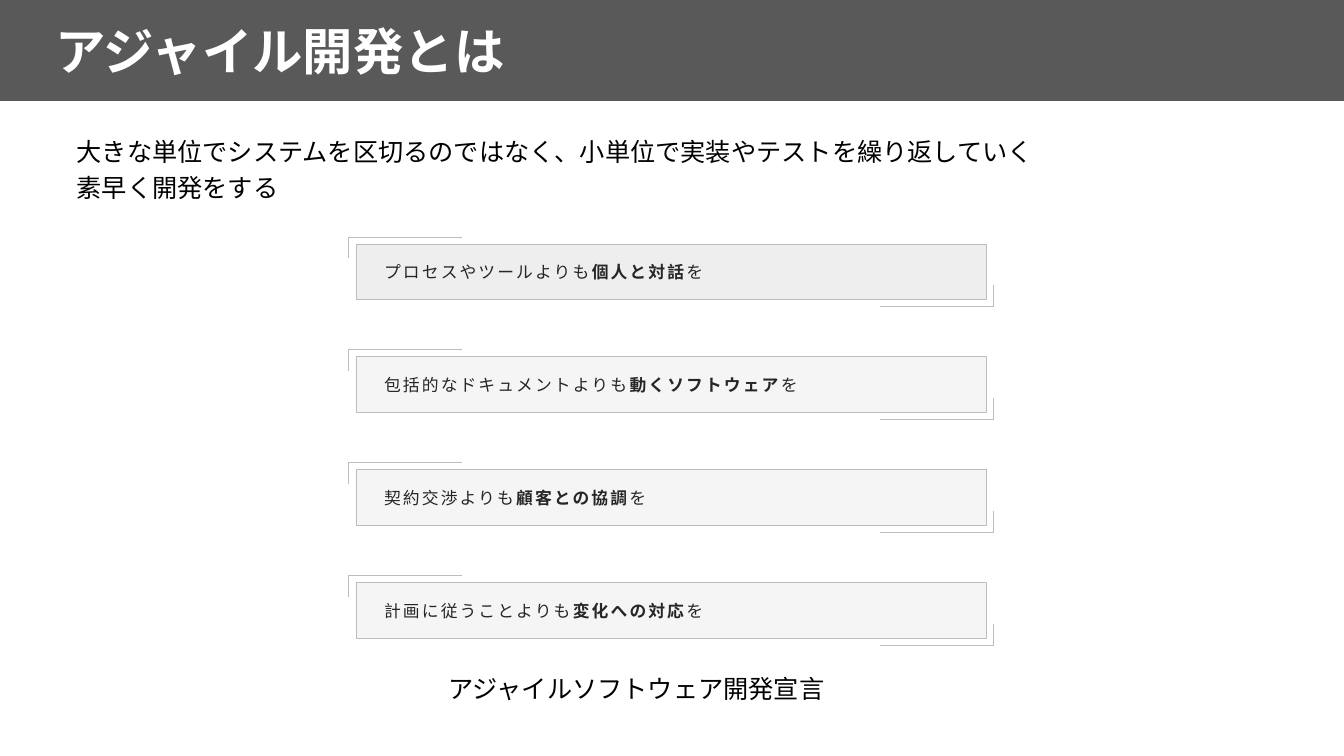
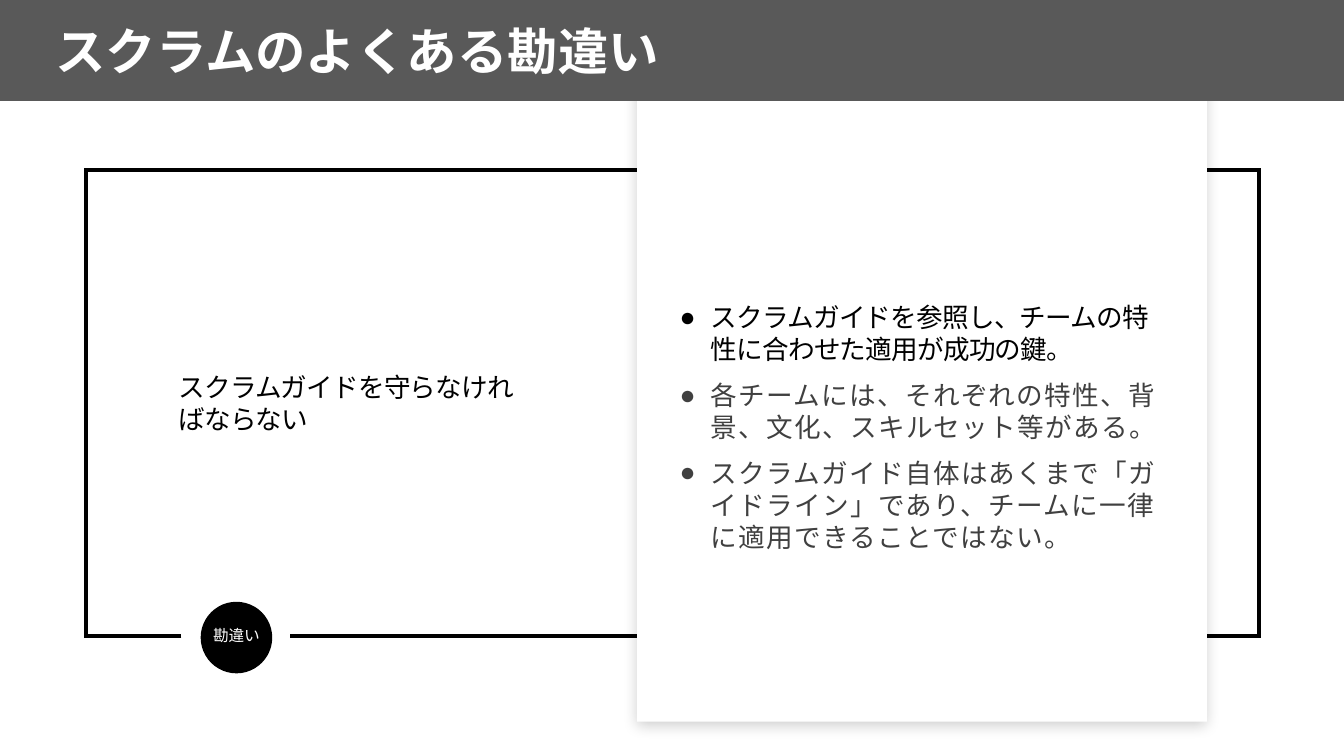
from lxml import etree
from pptx import Presentation
from pptx.dml.color import RGBColor
from pptx.enum.shapes import MSO_SHAPE
from pptx.enum.text import MSO_ANCHOR, MSO_AUTO_SIZE, PP_ALIGN
from pptx.oxml.ns import qn
from pptx.util import Pt

RECTANGLE, OVAL = MSO_SHAPE.RECTANGLE, MSO_SHAPE.OVAL
TOP, MIDDLE = MSO_ANCHOR.TOP, MSO_ANCHOR.MIDDLE
LEFT, CENTER = PP_ALIGN.LEFT, PP_ALIGN.CENTER
NO_FIT = MSO_AUTO_SIZE.NONE

PX = 9144  # 100 px to the inch
WIDTH, HEIGHT, BAND_HEIGHT = 1333, 750, 100
LATIN, CJK = "Arial", "Noto Sans CJK SC"

BLACK = RGBColor(0x00, 0x00, 0x00)
WHITE = RGBColor(0xFF, 0xFF, 0xFF)
BAND = RGBColor(0x59, 0x59, 0x59)
CARD = RGBColor(0xDE, 0xDE, 0xDE)
EDGE = RGBColor(0xBD, 0xBD, 0xBD)
CARD_TEXT = RGBColor(0x26, 0x26, 0x26)
GREY_TEXT = RGBColor(0x40, 0x40, 0x40)

# Content
AGILE_TITLE = "アジャイル開発とは"
AGILE_LEAD = [
    "大きな単位でシステムを区切るのではなく、小単位で実装やテストを繰り返していく",
    "素早く開発をする",
]
VALUES = [  # plain start, bold stress, fill opacity in percent
    ("プロセスやツールよりも", "個人と対話", 51),
    ("包括的なドキュメントよりも", "動くソフトウェア", 30),
    ("契約交渉よりも", "顧客との協調", 30),
    ("計画に従うことよりも", "変化への対応", 30),
]
VALUE_END = "を"
AGILE_CAPTION = "アジャイルソフトウェア開発宣言"

SCRUM_TITLE = "スクラムのよくある勘違い"
MYTH_LABEL = "勘違い"
MYTH = "スクラムガイドを守らなければならない"
FACT_LEAD = "スクラムガイドを参照し、チームの特性に合わせた適用が成功の鍵。"
FACTS = [
    "各チームには、それぞれの特性、背景、文化、スキルセット等がある。",
    "スクラムガイド自体はあくまで「ガイドライン」であり、チームに一律に適用できることではない。",
]


def write(box, paragraphs, size=18, color=BLACK, font=LATIN, bold=False, spacing=0,
          align=LEFT, anchor=TOP, insets=(10, 5, 10, 5), before=0, first_before=0,
          bullet=None, indent=0):
    """Fill a shape with paragraphs; each is a list of (text, format overrides)."""
    frame = box.text_frame
    frame.word_wrap, frame.auto_size, frame.vertical_anchor = True, NO_FIT, anchor
    (frame.margin_left, frame.margin_top,
     frame.margin_right, frame.margin_bottom) = [inset * PX for inset in insets]
    for index, spans in enumerate(paragraphs):
        para = frame.add_paragraph() if index else frame.paragraphs[0]
        para.alignment, para.line_spacing = align, 1.0
        para.space_before = Pt(before if index else first_before)
        settings = para._p.get_or_add_pPr()
        settings.set("marL", str(indent * PX))
        settings.set("indent", str(-indent * PX))
        if bullet:
            etree.SubElement(settings, qn("a:buChar")).set("char", bullet)
        else:
            etree.SubElement(settings, qn("a:buNone"))
        for text, changes in spans:
            look = {"color": color, "font": font, "bold": bold, "spacing": spacing, **changes}
            span = para.add_run()
            span.text = text
            span.font.size, span.font.bold = Pt(size), look["bold"]
            span.font.color.rgb, span.font.name = look["color"], look["font"]
            details = span._r.get_or_add_rPr()
            details.set("spc", str(round(look["spacing"] * 100)))
            etree.SubElement(details, qn("a:ea")).set("typeface", CJK)


def place(shape, left, top, width, height):
    shape.left, shape.top = left * PX, top * PX
    shape.width, shape.height = width * PX, height * PX
    return shape


def add_text(page, area, text, **look):
    box = page.shapes.add_textbox(*[length * PX for length in area])
    write(box, [[(text, {})]], **look)


def add_block(page, kind, area, fill, opacity=100, edge=None):
    block = page.shapes.add_shape(kind, *[length * PX for length in area])
    block.shadow.inherit = False
    block.fill.solid()
    block.fill.fore_color.rgb = fill
    if opacity < 100:
        tint = block._element.spPr.find(".//" + qn("a:srgbClr"))
        etree.SubElement(tint, qn("a:alpha")).set("val", str(opacity * 1000))
    if edge is None:
        block.line.fill.background()
    else:
        block.line.color.rgb, block.line.width = edge, Pt(0.5)
    return block


def add_outline(page, points, color, width):
    builder = page.shapes.build_freeform(*points[0], scale=PX)
    builder.add_line_segments(points[1:], close=False)
    outline = builder.convert_to_shape()
    outline.shadow.inherit = False
    outline.fill.background()
    outline.line.color.rgb, outline.line.width = color, Pt(width)
    stroke = outline._element.spPr.find(qn("a:ln"))
    etree.SubElement(stroke, qn("a:miter")).set("lim", "800000")


def add_soft_shadow(shape):
    effects = shape._element.spPr.find(qn("a:effectLst"))
    shadow = etree.SubElement(effects, qn("a:outerShdw"), blurRad=str(Pt(10)),
                              dist=str(Pt(3)), dir="5400000", rotWithShape="0")
    tint = etree.SubElement(shadow, qn("a:srgbClr"), val="0D0D0D")
    etree.SubElement(tint, qn("a:alpha"), val="20000")


def add_page(deck, title):
    """Start a page whose title placeholder is the dark band."""
    page = deck.slides.add_slide(deck.slide_layouts[1])
    band = place(page.shapes.title, 0, 0, WIDTH, BAND_HEIGHT)
    band.fill.solid()
    band.fill.fore_color.rgb = BAND
    write(band, [[(title, {})]], size=36, color=WHITE, font=CJK, bold=True,
          anchor=MIDDLE, insets=(55, 5, 55, 5))
    return page, page.placeholders[1]


def bring_to_front(page, shape):
    page.shapes._spTree.append(shape._element)


def build_agile(deck):
    page, lead = add_page(deck, AGILE_TITLE)
    place(lead, 66, 130, 1061, 93)
    write(lead, [[(line, {})] for line in AGILE_LEAD], before=4)

    # Value cards with corner brackets
    left, first_top, width, height, pitch = 353, 242, 625, 55, 112
    gap, arm, leg = 7, 112, 21
    for index, (start, stress, opacity) in enumerate(VALUES):
        top = first_top + index * pitch
        card = add_block(page, RECTANGLE, (left, top, width, height), CARD, opacity, EDGE)
        write(card, [[(start, {}), (stress, {"bold": True}), (VALUE_END, {})]],
              size=12, color=CARD_TEXT, font=CJK, spacing=1.5, anchor=MIDDLE,
              insets=(28, 5, 10, 5))
        corners = [(left - gap, top - gap, 1), (left + width + gap, top + height + gap, -1)]
        for x, y, inward in corners:
            add_outline(page, [(x, y + inward * leg), (x, y), (x + inward * arm, y)], EDGE, 0.5)

    add_text(page, (435, 663, 444, 40), AGILE_CAPTION)


def build_scrum(deck):
    page, facts = add_page(deck, SCRUM_TITLE)

    # Open frame with the label in its gap
    left, top, right, bottom = 85, 169, 1249, 631
    add_outline(page, [(180, bottom), (left, bottom), (left, top), (right, top),
                       (right, bottom), (288, bottom)], BLACK, 2.75)
    label = add_block(page, OVAL, (199, 597, 71, 71), BLACK)
    write(label, [[(MYTH_LABEL, {})]], size=11.2, color=WHITE, font=CJK,
          align=CENTER, anchor=MIDDLE, insets=(0, 0, 0, 5))

    # Misconception on the left, raised panel with the facts on the right
    list_look = {"size": 19, "spacing": -0.5, "anchor": MIDDLE, "insets": (7, 3, 7, 3),
                 "before": 10, "first_before": 10}
    add_text(page, (170, 340, 360, 120), MYTH, **list_look)
    add_soft_shadow(add_block(page, RECTANGLE, (632, 83, 565, 633), WHITE))
    place(facts, 667, 164, 497, 519)
    detail = {"color": GREY_TEXT, "font": CJK, "spacing": 1}
    write(facts, [[(FACT_LEAD, {})]] + [[(fact, detail)] for fact in FACTS],
          bullet="●", indent=31, **list_look)
    bring_to_front(page, facts)
    bring_to_front(page, page.shapes.title)


def main():
    deck = Presentation()
    deck.slide_width, deck.slide_height = WIDTH * PX, HEIGHT * PX
    build_agile(deck)
    build_scrum(deck)
    deck.save("out.pptx")


if __name__ == "__main__":
    main()
